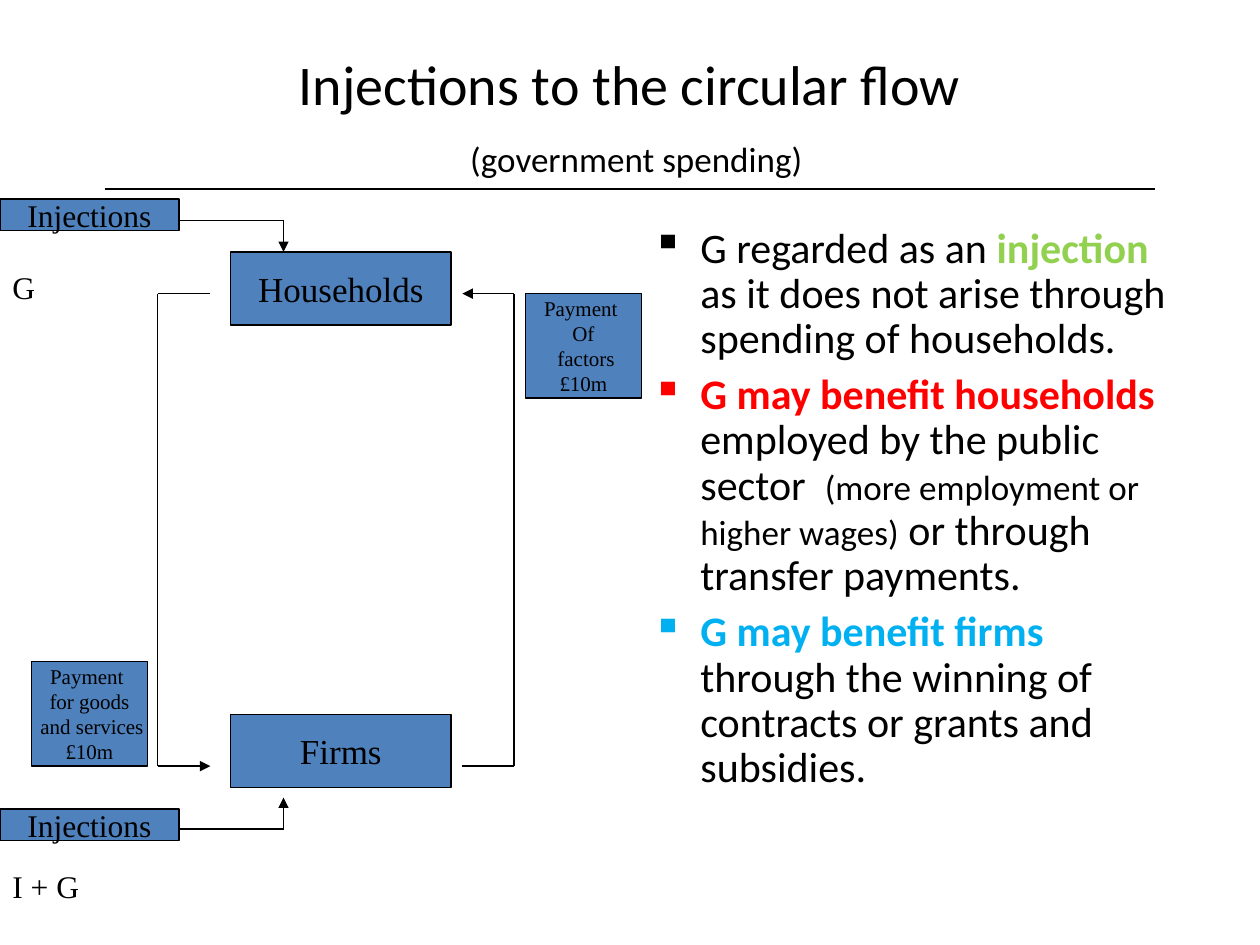
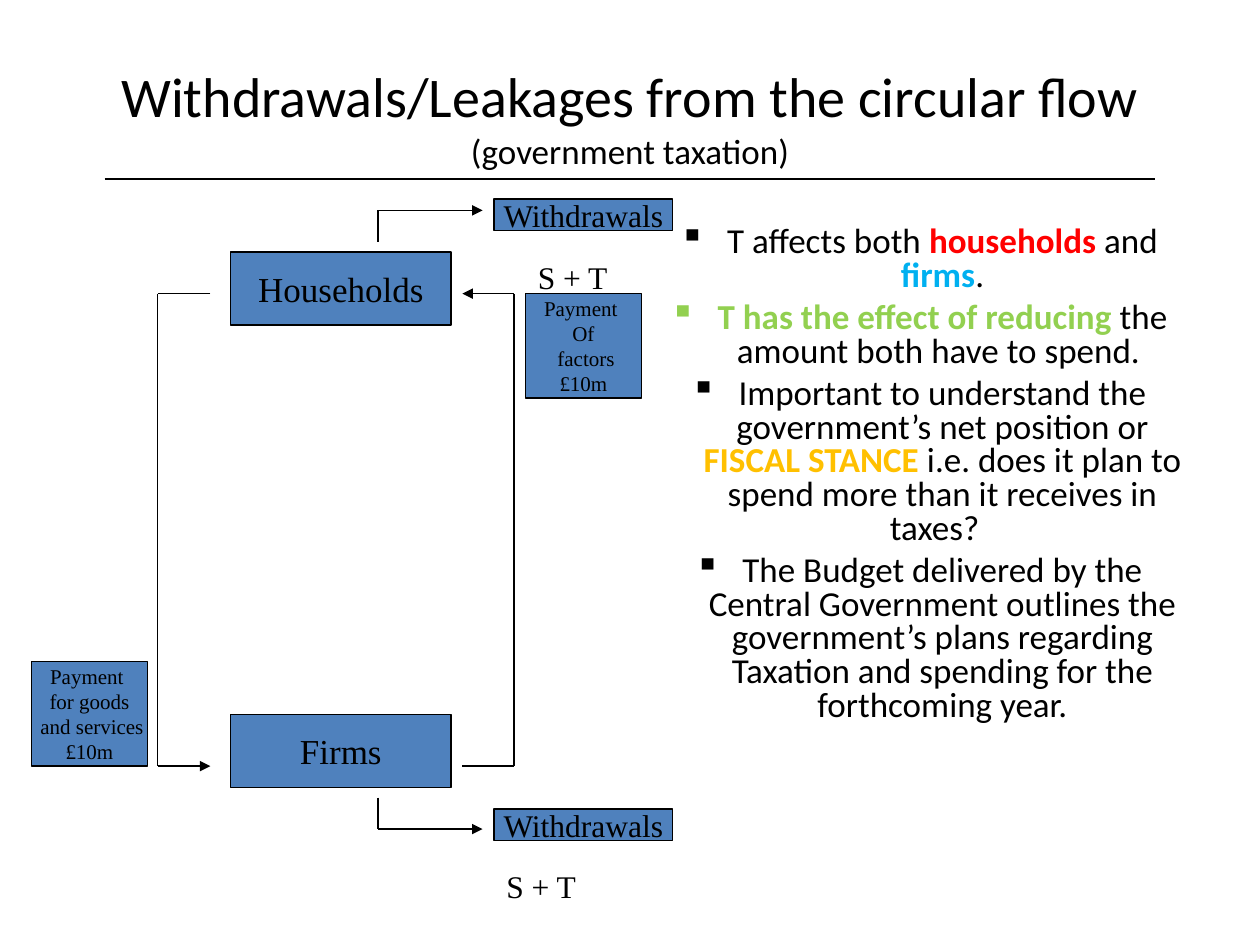
from itertools import pairwise

from lxml import etree
from pptx import Presentation
from pptx.dml.color import RGBColor
from pptx.enum.shapes import MSO_CONNECTOR as CONN, MSO_SHAPE as SHAPE
from pptx.enum.text import MSO_ANCHOR as ANCHOR, PP_ALIGN as ALIGN
from pptx.oxml.ns import qn
from pptx.util import Inches, Pt

BLACK = RGBColor(0x00, 0x00, 0x00)
BLUE = RGBColor(0x4F, 0x81, 0xBD)
GREEN = RGBColor(0x92, 0xD0, 0x50)
RED = RGBColor(0xFF, 0x00, 0x00)
SKY = RGBColor(0x00, 0xB0, 0xF0)
GOLD = RGBColor(0xFF, 0xC0, 0x00)
SANS, SERIF = "Calibri", "Times New Roman"

# Circular flow shown on both slides: (lines, font size, left, top, width, height)
FLOW_BOXES = [
    (["Households"], 20, 1.83, 2, 1.75, 0.58),
    (["Firms"], 20, 1.83, 5.67, 1.75, 0.58),
    (["Payment ", "Of", " factors", "£10m"], 12, 4.17, 2.33, 0.92, 0.83),
    (["Payment ", "for goods", " and services", "£10m"], 12, 0.25, 5.25, 0.92, 0.83),
]
FLOW_PATHS = [
    [(1.67, 2.33), (1.25, 2.33), (1.25, 6.08), (1.67, 6.08)],
    [(3.67, 6.08), (4.08, 6.08), (4.08, 2.33), (3.67, 2.33)],
]
SIDE_TOPS = (1.58, 6.42)

# Runs are (text, colour) or (text, colour, size); coloured runs are bold
SLIDES = [
    {
        "title": ["Injections to the circular flow", "\n", " "],
        "subtitle": "(government spending)",
        "rule_y": 1.5,
        "side_label": "Injections",
        "side_left": 0,
        "paths": [
            [(1.42, 1.75), (2.25, 1.75), (2.25, 2)],
            [(1.42, 6.58), (2.25, 6.58), (2.25, 6.33)],
        ],
        "notes": [("G", 0, 2.08), ("I + G", 0, 6.83)],
        "body_style": {"size": 24, "spacing": 0.9, "before": 6, "align": ALIGN.LEFT},
        "body": [
            [("G regarded as an ", BLACK), ("injection ", GREEN),
             ("as it does not arise through spending of households.", BLACK)],
            [("G may benefit households  ", RED),
             ("employed by the public sector  ", BLACK),
             ("(more employment or higher wages)", BLACK, 20),
             (" or through transfer payments.", BLACK)],
            [("G may benefit firms ", SKY),
             ("through the winning of contracts or grants and subsidies.", BLACK)],
        ],
    },
    {
        "title": ["Withdrawals/Leakages from the circular flow "],
        "subtitle": "(government taxation)",
        "rule_y": 1.42,
        "side_label": "Withdrawals",
        "side_left": 3.92,
        "paths": [
            [(3, 1.92), (3, 1.67), (3.83, 1.67)],
            [(3, 6.33), (3, 6.58), (3.83, 6.58)],
        ],
        "notes": [("S + T", 4.17, 2), ("S + T", 3.92, 6.83)],
        "body_style": {"size": 20, "spacing": 0.8, "before": 5, "align": ALIGN.CENTER},
        "body": [
            [("T affects both ", BLACK), ("households", RED), (" and ", BLACK),
             ("firms", SKY), (".", BLACK)],
            [("T has the effect of reducing ", GREEN),
             ("the amount both have to spend. ", BLACK)],
            [("Important to understand the government’s net position or ", BLACK),
             ("FISCAL STANCE ", GOLD),
             ("i.e. does it plan to spend more than it receives in taxes?  ", BLACK)],
            [("The Budget delivered by the Central Government outlines the "
              "government’s plans regarding Taxation and spending for the "
              "forthcoming year.", BLACK)],
        ],
    },
]


def add_run(p, text, size, font, color=BLACK):
    r = p.add_run()
    r.text = text
    r.font.size, r.font.name = Pt(size), font
    r.font.color.rgb = color
    r.font.bold = color != BLACK


def add_text_frame(s, left, top, width, height):
    tf = s.shapes.add_textbox(*map(Inches, (left, top, width, height))).text_frame
    tf.word_wrap = True
    return tf


def paragraphs(tf, items):
    """Yield a paragraph for each item, starting with the one already there."""
    for i, item in enumerate(items):
        yield (tf.add_paragraph() if i else tf.paragraphs[0]), item


def add_box(s, lines, size, left, top, width, height):
    sp = s.shapes.add_shape(SHAPE.RECTANGLE, *map(Inches, (left, top, width, height)))
    sp.shadow.inherit = False
    sp.fill.solid()
    sp.fill.fore_color.rgb = BLUE
    sp.line.color.rgb, sp.line.width = BLACK, Pt(0.75)
    tf = sp.text_frame
    tf.word_wrap, tf.vertical_anchor = False, ANCHOR.MIDDLE
    for p, line in paragraphs(tf, lines):
        p.alignment = ALIGN.CENTER
        add_run(p, line, size, SERIF)


def add_path(s, points, arrow=True):
    """Join the points with lines; the last line may carry an arrowhead."""
    for start, end in pairwise(points):
        line = s.shapes.add_connector(CONN.STRAIGHT, *map(Inches, start + end))
        line.line.color.rgb, line.line.width = BLACK, Pt(0.75)
        etree.SubElement(line._element.spPr, qn("a:effectLst"))
    if arrow:
        etree.SubElement(line.line._get_or_add_ln(), qn("a:tailEnd"), type="triangle")


def add_title(s, parts, subtitle):
    tf = add_text_frame(s, 0.5, 0.3, 9, 1.25)
    tf.vertical_anchor = ANCHOR.MIDDLE
    p = tf.paragraphs[0]
    p.alignment = ALIGN.CENTER
    for part in parts:
        if part == "\n":
            p.add_line_break()
        else:
            add_run(p, part, 32, SANS)
    add_run(p, subtitle, 20, SANS)


def add_bullet(p, color):
    pPr = p._p.get_or_add_pPr()
    pPr.set("marL", str(Inches(0.38)))
    pPr.set("indent", str(-Inches(0.38)))
    bu_color = etree.SubElement(pPr, qn("a:buClr"))
    etree.SubElement(bu_color, qn("a:srgbClr"), val=str(color))
    etree.SubElement(pPr, qn("a:buChar"), char="▪")


def add_body(s, items, size, spacing, before, align):
    tf = add_text_frame(s, 5.08, 1.75, 4.42, 4.95)
    for p, runs in paragraphs(tf, items):
        p.alignment, p.line_spacing, p.space_before = align, spacing, Pt(before)
        add_bullet(p, runs[0][1])
        for text, color, *own_size in runs:
            add_run(p, text, own_size[0] if own_size else size, SANS, color)


def add_note(s, text, left, top):
    p = add_text_frame(s, left, top, 1.08, 0.4).paragraphs[0]
    p.space_before = Pt(11.2)
    add_run(p, text, 18, SERIF)


def build_slide(prs, data):
    s = prs.slides.add_slide(prs.slide_layouts[6])
    # Heading and body text
    add_title(s, data["title"], data["subtitle"])
    add_body(s, data["body"], **data["body_style"])
    add_path(s, [(0.83, data["rule_y"]), (9.17, data["rule_y"])], arrow=False)
    # Circular flow with its injections or withdrawals
    for box in FLOW_BOXES:
        add_box(s, *box)
    for top in SIDE_TOPS:
        add_box(s, [data["side_label"]], 18, data["side_left"], top, 1.42, 0.25)
    for points in FLOW_PATHS + data["paths"]:
        add_path(s, points)
    for note in data["notes"]:
        add_note(s, *note)


def main():
    prs = Presentation()
    prs.slide_width, prs.slide_height = Inches(10), Inches(7.5)
    for data in SLIDES:
        build_slide(prs, data)
    prs.save("out.pptx")


if __name__ == "__main__":
    main()
